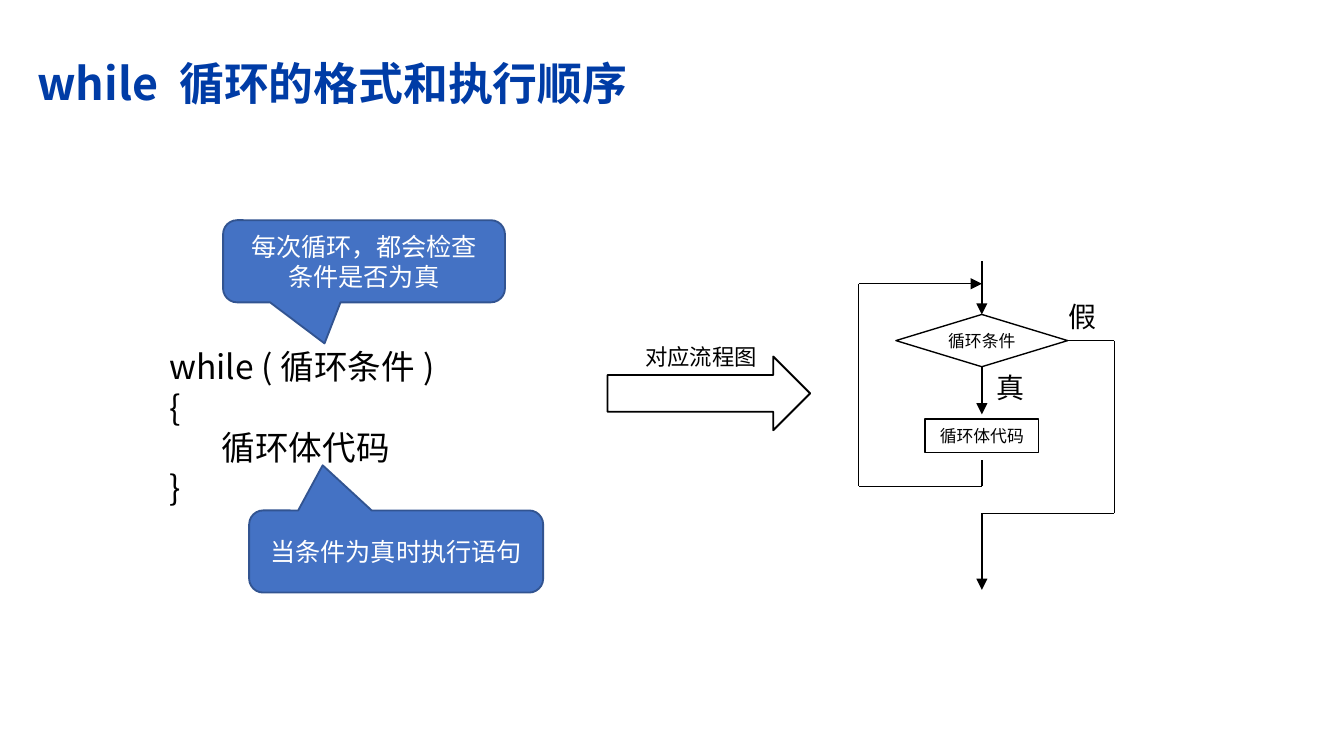
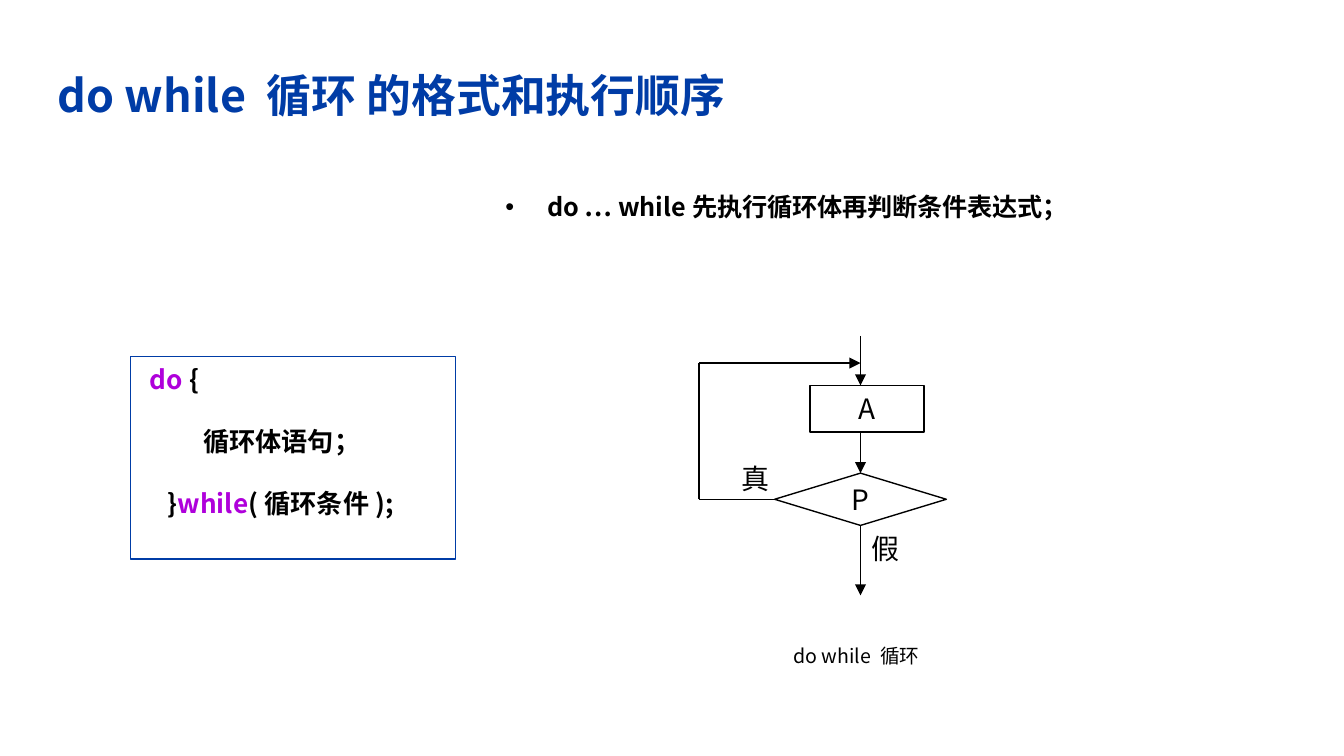
from dataclasses import dataclass
from typing import NamedTuple, Optional

from lxml import etree
from pptx import Presentation
from pptx.dml.color import RGBColor
from pptx.enum.shapes import MSO_CONNECTOR, MSO_SHAPE
from pptx.enum.text import MSO_ANCHOR, MSO_AUTO_SIZE, PP_ALIGN
from pptx.oxml.ns import qn
from pptx.util import Pt

# Shared look
FONT = "Noto Sans CJK SC"
BLACK = RGBColor(0x00, 0x00, 0x00)
WHITE = RGBColor(0xFF, 0xFF, 0xFF)
NAVY = RGBColor(0x00, 0x3C, 0xA6)
BLUE = RGBColor(0x44, 0x72, 0xC4)
EDGE = RGBColor(0x32, 0x54, 0x91)
PURPLE = RGBColor(0xAF, 0x00, 0xDB)

RECT = MSO_SHAPE.RECTANGLE
CHOICE = MSO_SHAPE.FLOWCHART_DECISION
BUBBLE = MSO_SHAPE.ROUNDED_RECTANGULAR_CALLOUT
ARROW = MSO_SHAPE.RIGHT_ARROW
STRAIGHT = MSO_CONNECTOR.STRAIGHT
TOP, MIDDLE = MSO_ANCHOR.TOP, MSO_ANCHOR.MIDDLE
LEFT, CENTER = PP_ALIGN.LEFT, PP_ALIGN.CENTER
NO_FIT = MSO_AUTO_SIZE.NONE
THIN = 0.75
NORTH, WEST, SOUTH, EAST = range(4)


class Span(NamedTuple):
    text: str
    color: RGBColor = BLACK
    bold: bool = False


class Place(NamedTuple):
    x: float
    y: float
    w: float
    h: float

    def points(self) -> list:
        return [Pt(v) for v in self]


@dataclass
class Part:
    """A preset shape, or a text box when kind is None."""
    place: Place
    lines: list
    size: float
    kind: Optional[int] = None
    fill: Optional[RGBColor] = None
    edge: RGBColor = BLACK
    width: float = THIN
    align: int = CENTER
    anchor: int = MIDDLE
    wrap: bool = True
    gap: float = 0
    adjust: tuple = ()


@dataclass
class Route:
    """A bent line through points; start and stop are (shape, side)."""
    points: list
    head: bool = True
    start: Optional[tuple] = None
    stop: Optional[tuple] = None


def write(frame, lines: list, size: float, align: int = LEFT,
          gap: float = 0) -> None:
    for i, line in enumerate(lines):
        para = frame.paragraphs[0] if i == 0 else frame.add_paragraph()
        para.alignment = align
        para.space_before = Pt(gap if i else 0)
        for span in line:
            run = para.add_run()
            run.text = span.text
            font = run.font
            font.size, font.bold, font.name = Pt(size), span.bold, FONT
            font.color.rgb = span.color
            east = etree.SubElement(run._r.get_or_add_rPr(), qn("a:ea"))
            east.set("typeface", FONT)


def draw(slide, part: Part):
    spots = part.place.points()
    if part.kind is None:
        shape = slide.shapes.add_textbox(*spots)
    else:
        shape = slide.shapes.add_shape(part.kind, *spots)
        shape.shadow.inherit = False
        for i, value in enumerate(part.adjust):
            shape.adjustments[i] = value
        if part.fill is None:
            shape.fill.background()
        else:
            shape.fill.solid()
            shape.fill.fore_color.rgb = part.fill
        shape.line.color.rgb = part.edge
        shape.line.width = Pt(part.width)
    frame = shape.text_frame
    frame.word_wrap = part.wrap
    frame.vertical_anchor = part.anchor
    write(frame, part.lines, part.size, part.align, part.gap)
    return shape


def trace(slide, route: Route) -> None:
    wires = []
    for (x1, y1), (x2, y2) in zip(route.points, route.points[1:]):
        wire = slide.shapes.add_connector(
            STRAIGHT, Pt(x1), Pt(y1), Pt(x2), Pt(y2))
        wire.line.color.rgb = BLACK
        wire.line.width = Pt(THIN)
        etree.SubElement(wire._element.spPr, qn("a:effectLst"))
        wires.append(wire)
    if route.start:
        wires[0].begin_connect(*route.start)
    if route.stop:
        wires[-1].end_connect(*route.stop)
    if route.head:
        tip = etree.SubElement(wires[-1].line._get_or_add_ln(), qn("a:tailEnd"))
        tip.set("type", "triangle")


def fit(holder, place: Place, pad_x: float, pad_y: float, anchor: int):
    """Move a placeholder and set its margins."""
    holder.left, holder.top, holder.width, holder.height = place.points()
    frame = holder.text_frame
    frame.margin_left = frame.margin_right = Pt(pad_x)
    frame.margin_top = frame.margin_bottom = Pt(pad_y)
    frame.vertical_anchor = anchor
    frame.auto_size = NO_FIT
    frame.word_wrap = True
    return frame


def head(slide, text: str, place: Place, pad_x: float, pad_y: float,
         anchor: int):
    frame = fit(slide.shapes.title, place, pad_x, pad_y, anchor)
    write(frame, [[Span(text, NAVY, True)]], 24)
    return frame


def label(slide, text: str, x: float, y: float, w: float) -> None:
    draw(slide, Part(Place(x, y, w, 25), [[Span(text)]], 15, wrap=False))


def node(slide, kind: int, place: Place, text: str, size: float):
    return draw(slide, Part(place, [[Span(text)]], size, kind, WHITE,
                            wrap=kind == RECT))


def while_slide(deck) -> None:
    slide = deck.slides.add_slide(deck.slide_layouts[5])
    frame = head(slide, "while 循环的格式和执行顺序",
                 Place(15, 19.5, 674.5, 53.5), 5, 3, MIDDLE)
    frame.paragraphs[0].line_spacing = 0.85

    # Code and its two callouts
    code = ["while (循环条件)", "{", "       循环体代码", "}"]
    draw(slide, Part(Place(83.5, 182, 330, 94.5), [[Span(t)] for t in code],
                     18, align=LEFT, anchor=TOP))
    notes = [
        (Place(119.5, 118, 151, 44), "每次循环，都会检查条件是否为真",
         (-0.14, 1, 0.17)),
        (Place(133.5, 273.5, 157.5, 44), "当条件为真时执行语句",
         (-0.25, -1.05, 0.17)),
    ]
    for place, text, adjust in notes:
        draw(slide, Part(place, [[Span(text, WHITE)]], 13.5, BUBBLE, BLUE,
                         EDGE, 1, adjust=adjust))

    # Arrow to the flow chart
    draw(slide, Part(Place(325.5, 191, 108.5, 39.5), [], 12, ARROW, width=1))
    draw(slide, Part(Place(338.5, 180.5, 83, 21.5), [[Span("对应流程图")]],
                     12, align=LEFT, anchor=TOP))

    # Flow chart
    axis, back, out = 526, 460, 597
    test = node(slide, CHOICE, Place(axis - 46, 168.5, 92, 28), "循环条件", 9)
    node(slide, RECT, Place(axis - 30.5, 224.5, 61, 18), "循环体代码", 9)
    routes = [
        Route([(axis, 140), (axis, 168.5)], stop=(test, NORTH)),
        Route([(axis, 196.5), (axis, 222)], start=(test, SOUTH)),
        Route([(axis, 246.5), (axis, 260.5), (back, 260.5), (back, 152),
               (axis, 152)]),
        Route([(axis + 46, 182.5), (out, 182.5), (out, 275), (axis, 275),
               (axis, 316)], start=(test, EAST)),
    ]
    for route in routes:
        trace(slide, route)
    label(slide, "假", 565, 157, 30)
    label(slide, "真", 526.5, 195, 26)


def do_slide(deck) -> None:
    slide = deck.slides.add_slide(deck.slide_layouts[1])
    head(slide, "do while 循环 的格式和执行顺序",
         Place(26.5, 34.5, 666, 29.5), 4.5, 2, TOP)

    # Bullet
    frame = fit(slide.placeholders[1], Place(263.5, 99, 319.5, 24),
                7.2, 3.6, TOP)
    para = frame.paragraphs[0]
    props = para._p.get_or_add_pPr()
    props.set("marL", str(Pt(22.5)))
    props.set("indent", str(-Pt(22.5)))
    etree.SubElement(props, qn("a:buChar")).set("char", "•")
    write(frame, [[Span("do … while先执行循环体再判断条件表达式；",
                        bold=True)]], 13.5)
    para.space_after = Pt(12)

    # Code box
    code = [
        [Span(" do ", PURPLE, True), Span("{", bold=True)],
        [Span("          循环体语句；", bold=True)],
        [Span("    }", bold=True), Span("while", PURPLE, True),
         Span("(循环条件);", bold=True)],
    ]
    draw(slide, Part(Place(70, 191, 174, 108.5), code, 14, RECT, edge=NAVY,
                     align=LEFT, anchor=TOP, gap=16.6))

    # Flow chart
    axis, back = 461, 374.5
    node(slide, RECT, Place(434, 206.5, 61, 25), "A", 15)
    test = node(slide, CHOICE, Place(axis - 46, 253.5, 92, 28), "P", 15)
    routes = [
        Route([(axis, 180), (axis, 206.5)]),
        Route([(axis, 231.5), (axis, 253.5)], stop=(test, NORTH)),
        Route([(axis, 281.5), (axis, 319)], start=(test, SOUTH)),
        Route([(axis - 46, 267.5), (back, 267.5), (back, 194.5),
               (axis, 194.5)], start=(test, WEST)),
    ]
    for route in routes:
        trace(slide, route)
    label(slide, "假", 460, 281, 26)
    label(slide, "真", 389.5, 243.5, 30)
    draw(slide, Part(Place(398, 341.5, 121.5, 20), [[Span("do while 循环")]],
                     10.5, anchor=TOP))


def main() -> None:
    deck = Presentation()
    deck.slide_width, deck.slide_height = Pt(720), Pt(405)
    while_slide(deck)
    do_slide(deck)
    deck.save("out.pptx")


if __name__ == "__main__":
    main()
